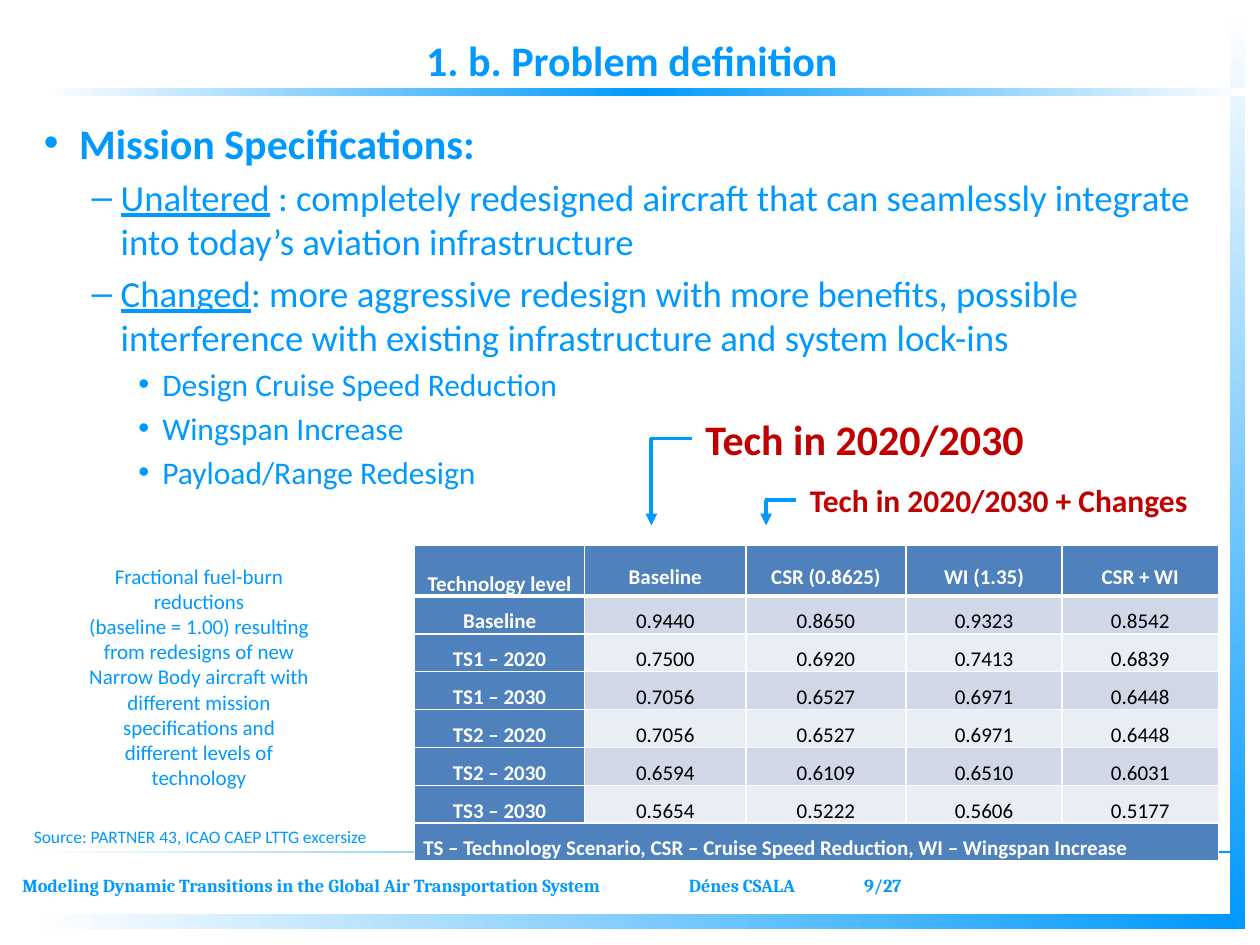
from lxml import etree
from pptx import Presentation
from pptx import util as u
from pptx.dml.color import RGBColor
from pptx.enum import shapes, text
from pptx.oxml import ns

BLUE = RGBColor(0x00, 0x99, 0xFF)
RED = RGBColor(0xC0, 0x00, 0x00)
WHITE = RGBColor(0xFF, 0xFF, 0xFF)
BLACK = RGBColor(0x00, 0x00, 0x00)
HEADER_FILL = RGBColor(0x4F, 0x81, 0xBD)
BAND_FILLS = (RGBColor(0xD0, 0xD8, 0xE8), RGBColor(0xE9, 0xED, 0xF4))

LEFT, CENTER = text.PP_ALIGN.LEFT, text.PP_ALIGN.CENTER

# Outline level: bullet, text indent, hanging indent (inches), size (points)
LEVELS = (("•", 0.28, 0.28, 24), ("–", 0.61, 0.23, 21), ("•", 0.94, 0.19, 18))
OUTLINE = (
    (0, "", "Mission Specifications:"),
    (1, "Unaltered", " : completely redesigned aircraft that can seamlessly "
                     "integrate into today’s aviation infrastructure"),
    (1, "Changed", ": more aggressive redesign with more benefits, possible "
                   "interference with existing infrastructure and system lock-ins"),
    (2, "", "Design Cruise Speed Reduction"),
    (2, "", "Wingspan Increase"),
    (2, "", "Payload/Range Redesign"),
)
COLUMN_WIDTHS = (1.35, 1.28, 1.27, 1.24, 1.24)
FUEL_BURN = (
    ("Technology level", "Baseline", "CSR (0.8625)", "WI (1.35)", "CSR + WI"),
    ("Baseline", "0.9440", "0.8650", "0.9323", "0.8542"),
    ("TS1 – 2020", "0.7500", "0.6920", "0.7413", "0.6839"),
    ("TS1 – 2030", "0.7056", "0.6527", "0.6971", "0.6448"),
    ("TS2 – 2020", "0.7056", "0.6527", "0.6971", "0.6448"),
    ("TS2 – 2030", "0.6594", "0.6109", "0.6510", "0.6031"),
    ("TS3 – 2030", "0.5654", "0.5222", "0.5606", "0.5177"),
)
LEGEND = "TS – Technology Scenario, CSR – Cruise Speed Reduction, WI – Wingspan Increase"


def add_xml(parent, tag, **attributes):
    child = etree.SubElement(parent, ns.qn(tag))
    for name, value in attributes.items():
        child.set(name, str(value))
    return child


def write(paragraph, content, size=12, color=BLUE, bold=False, underline=False,
          font="Calibri", align=LEFT, before=0, spacing=None):
    """Append text to a paragraph; a newline becomes a line break."""
    paragraph.alignment = align
    paragraph.space_before = u.Pt(before)
    if spacing:
        paragraph.line_spacing = spacing
    for index, line in enumerate(content.split("\n")):
        if index:
            paragraph.add_line_break()
        run = paragraph.add_run()
        run.text = line
        run.font.name, run.font.size = font, u.Pt(size)
        run.font.bold, run.font.underline = bold, underline
        run.font.color.rgb = color


class SlideBuilder:
    def __init__(self, slide):
        self.slide = slide

    def title(self, content, left, top, width, height):
        shape = self.slide.shapes.title
        shape.left, shape.top = u.Inches(left), u.Inches(top)
        shape.width, shape.height = u.Inches(width), u.Inches(height)
        frame = shape.text_frame
        frame.auto_size = text.MSO_AUTO_SIZE.NONE
        frame.vertical_anchor = text.MSO_ANCHOR.TOP
        write(frame.paragraphs[0], content, size=24, bold=True, align=CENTER)

    def text_box(self, content, left, top, width, height, wrap=True, **style):
        box = self.slide.shapes.add_textbox(*map(u.Inches, (left, top, width, height)))
        box.text_frame.word_wrap = wrap
        paragraph = box.text_frame.paragraphs[0]
        if content:
            write(paragraph, content, **style)
        return box.text_frame

    def footer(self, parts, stops, *place):
        """Text parts in one line, each after the first at its own tab stop."""
        frame = self.text_box("\t".join(parts), *place, size=10.5, bold=True, font="Cambria")
        properties = frame.paragraphs[0]._p.get_or_add_pPr()
        tabs = add_xml(properties, "a:tabLst")
        for stop in stops:
            add_xml(tabs, "a:tab", pos=u.Inches(stop), algn="l")

    def outline(self, items, *place):
        frame = self.text_box("", *place)
        for index, (level, term, description) in enumerate(items):
            bullet, indent, hanging, size = LEVELS[level]
            paragraph = frame.add_paragraph() if index else frame.paragraphs[0]
            paragraph.level = level
            style = dict(size=size, bold=level == 0, before=size * 0.2)
            if term:
                write(paragraph, term, underline=True, **style)
            write(paragraph, description, **style)
            properties = paragraph._p.get_or_add_pPr()
            properties.set("marL", str(u.Inches(indent)))
            properties.set("indent", str(-u.Inches(hanging)))
            add_xml(properties, "a:buFont", typeface="Arial")
            add_xml(properties, "a:buChar", char=bullet)

    def gradient_bar(self, stops, left, top, width, height, angle=0):
        bar = self.slide.shapes.add_shape(
            shapes.MSO_SHAPE.RECTANGLE, *map(u.Inches, (left, top, width, height)))
        bar.shadow.inherit = False
        bar.line.fill.background()
        bar.fill.gradient()
        bar.fill.gradient_angle = angle
        stop_list = bar._element.spPr.find(".//" + ns.qn("a:gsLst"))
        for old_stop in list(stop_list):
            stop_list.remove(old_stop)
        for position, color in stops:
            stop = add_xml(stop_list, "a:gs", pos=position * 1000)
            add_xml(stop, "a:srgbClr", val=color)

    def line(self, start, end, arrow=False):
        connector = self.slide.shapes.add_connector(
            shapes.MSO_CONNECTOR.STRAIGHT, *map(u.Inches, start + end))
        connector.line.color.rgb = BLUE
        connector.line.width = u.Pt(2.25)
        if arrow:
            add_xml(connector.line._get_or_add_ln(), "a:tailEnd", type="triangle")
        add_xml(connector._element.spPr, "a:effectLst")

    def bent_arrow(self, right, x, top, bottom):
        self.line((right, top), (x - 0.01, top))
        self.line((x, top), (x, bottom), arrow=True)

    def cell(self, cell, content, fill, borders, **style):
        cell.vertical_anchor = text.MSO_ANCHOR.MIDDLE
        cell.margin_left = cell.margin_right = u.Inches(0.07)
        cell.margin_top = cell.margin_bottom = 0
        properties = cell._tc.get_or_add_tcPr()
        for side, width in zip("LRTB", borders):
            border = add_xml(properties, "a:ln" + side, w=u.Pt(width))
            add_xml(add_xml(border, "a:solidFill"), "a:srgbClr", val=WHITE)
        cell.fill.solid()
        cell.fill.fore_color.rgb = fill
        if content:
            write(cell.text_frame.paragraphs[0], content, before=6, **style)

    def table(self, rows, legend, left, top, width, height):
        rows = rows + ((legend,) + ("",) * (len(COLUMN_WIDTHS) - 1),)
        last = len(rows) - 1
        table = self.slide.shapes.add_table(
            len(rows), len(COLUMN_WIDTHS), *map(u.Inches, (left, top, width, height))).table
        table.first_row = table.horz_banding = False
        for column, column_width in zip(table.columns, COLUMN_WIDTHS):
            column.width = u.Inches(column_width)
        for r, row in enumerate(rows):
            table.rows[r].height = u.Inches(0.3 if r else 0.4)
            borders = (1, 1, 3 if r == 1 else 1, 1 if r else 3)
            for c, content in enumerate(row):
                heading = r in (0, last) or c == 0
                self.cell(table.cell(r, c), content,
                          HEADER_FILL if heading else BAND_FILLS[(r - 1) % 2], borders,
                          color=WHITE if heading else BLACK, bold=heading,
                          align=LEFT if r == last else CENTER,
                          spacing=2.0 if r == c == 0 else 1.5)
        table.cell(last, 0).merge(table.cell(last, len(COLUMN_WIDTHS) - 1))


def main():
    presentation = Presentation()
    presentation.slide_width, presentation.slide_height = u.Inches(10), u.Inches(7.5)
    builder = SlideBuilder(presentation.slides.add_slide(presentation.slide_layouts[5]))

    fade_in = ((0, WHITE), (100, BLUE))
    builder.gradient_bar(fade_in, 9.76, 0.13, 0.12, 7.24, angle=270)
    builder.gradient_bar(fade_in, 0.28, 7.25, 9.53, 0.12)
    builder.gradient_bar(((0, WHITE), (50, BLUE), (100, WHITE)), 0.35, 0.7, 9.53, 0.06)
    builder.footer(("Modeling Dynamic Transitions in the Global Air Transportation System",
                    "Dénes CSALA", "9/27"), (5.29, 6.68), 0.08, 6.89, 7.34, 0.28)
    builder.gradient_bar(((0, WHITE), (78, BLUE), (100, BLUE)), 0.25, 6.75, 9.53, 0.02)

    builder.title("1. b. Problem definition", 0.72, 0.22, 8.59, 0.48)
    builder.outline(OUTLINE, 0.25, 0.88, 9.5, 5.62)
    builder.text_box("Source: PARTNER 43, ICAO CAEP LTTG excersize",
                     0.17, 6.51, 9.5, 0.25, size=10)
    builder.table(FUEL_BURN, LEGEND, 3.29, 4.33, 6.38, 2.5)
    builder.text_box("Fractional fuel-burn reductions\n(baseline = 1.00) resulting from "
                     "redesigns of new Narrow Body aircraft with different mission "
                     "specifications and different levels of technology",
                     0.58, 4.42, 2, 1.92, align=CENTER)

    callout = dict(wrap=False, color=RED, bold=True)
    builder.text_box("Tech in 2020/2030", 5.5, 3.23, 2.83, 0.5, size=24, **callout)
    builder.bent_arrow(5.49, 5.17, 3.48, 4.17)
    builder.text_box("Tech in 2020/2030 + Changes", 6.33, 3.77, 3.23, 0.4, size=18, **callout)
    builder.bent_arrow(6.32, 6.08, 3.97, 4.17)

    presentation.save("out.pptx")


if __name__ == "__main__":
    main()
